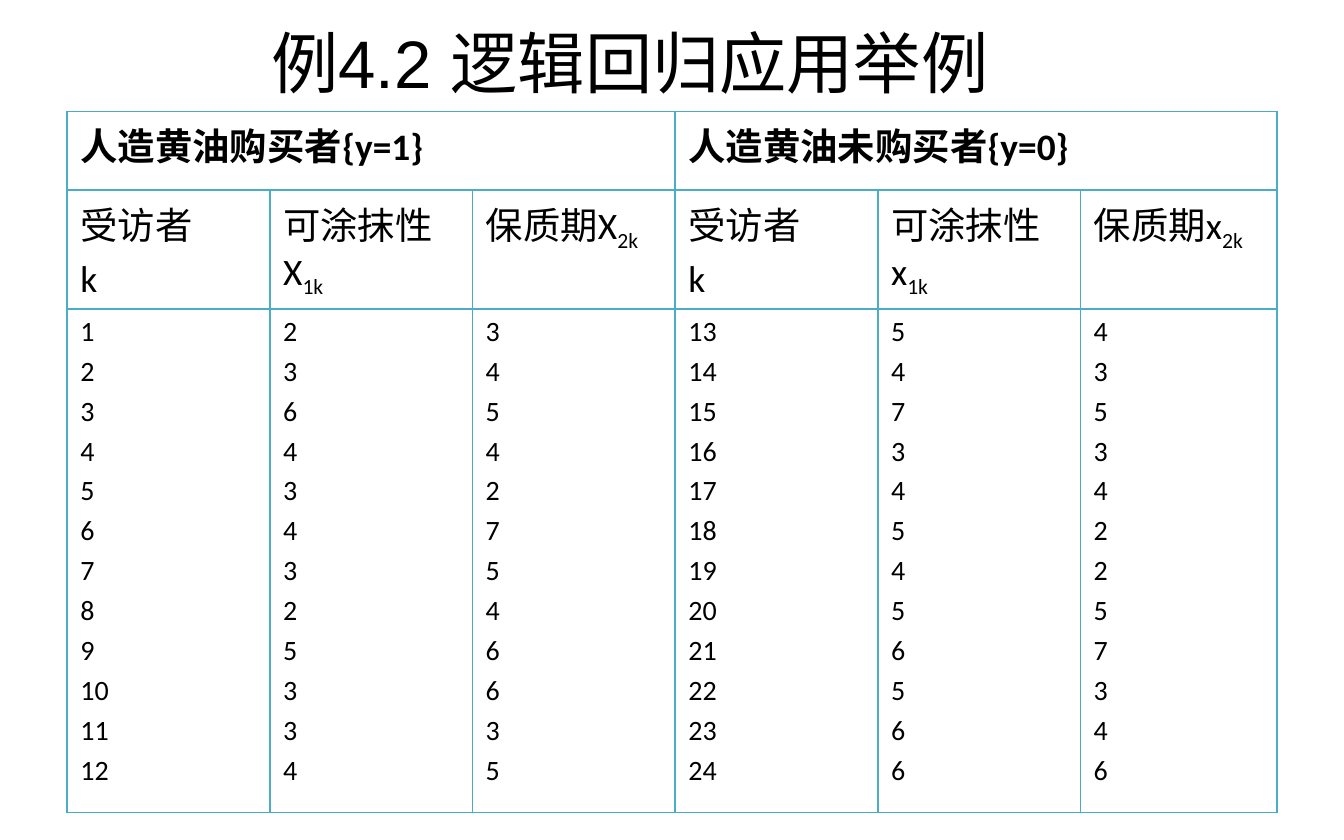
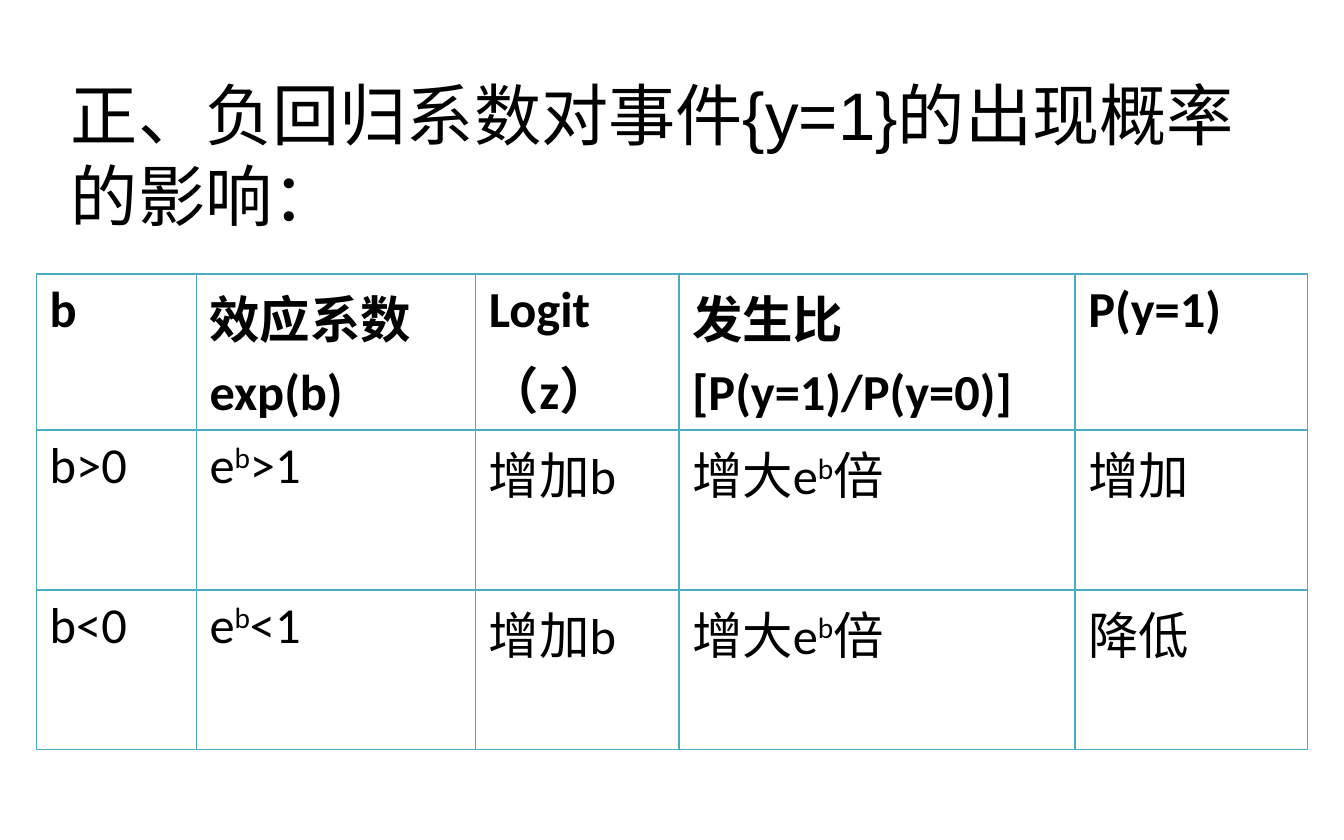
from lxml import etree
from pptx import Presentation
from pptx import util as u
from pptx.dml import color
from pptx.enum import text
from pptx.oxml import ns

# Shared look
INK = "000000"
BORDER = "4BACC6"
TITLE = dict(size=36, font="Arial")

deck = Presentation()
deck.slide_width = u.Cm(25.4)
deck.slide_height = u.Cm(15.88)
blank = deck.slide_layouts[6]


def write(frame, content, size=20, font="Calibri", bold=False, shift=0, gap=0):
    """Fill a text frame: one paragraph a line; every second part between ~ is shifted."""
    frame.word_wrap = True
    for number, line in enumerate(content.split("\n")):
        para = frame.add_paragraph() if number else frame.paragraphs[0]
        para.alignment = text.PP_ALIGN.LEFT
        para.space_before = u.Pt(size * gap)
        for position, part in enumerate(line.split("~")):
            if not part:
                continue
            span = para.add_run()
            span.text = part
            span.font.size = u.Pt(size)
            span.font.name = font
            span.font.bold = bold
            span.font.color.rgb = color.RGBColor.from_string(INK)
            if position % 2:
                span.font._element.set("baseline", str(shift * 1000))


def add_grid(page, left, top, widths, heights):
    """Add an unfilled table with thin borders on all cells."""
    grid = page.shapes.add_table(len(heights), len(widths), u.Cm(left), u.Cm(top),
                                 u.Cm(sum(widths)), u.Cm(sum(heights))).table
    grid.first_row = grid.horz_banding = False
    for column, width in zip(grid.columns, widths):
        column.width = u.Cm(width)
    for row, height in zip(grid.rows, heights):
        row.height = u.Cm(height)
    for cell in grid.iter_cells():
        cell.fill.background()
        cell.margin_left = cell.margin_right = u.Cm(0.25)
        cell.margin_top = cell.margin_bottom = u.Cm(0.11)
        for order, side in enumerate(("lnL", "lnR", "lnT", "lnB")):
            line = etree.Element(ns.qn("a:" + side), w=str(u.Pt(1)))
            paint = etree.SubElement(line, ns.qn("a:solidFill"))
            etree.SubElement(paint, ns.qn("a:srgbClr"), val=BORDER)
            cell._tc.get_or_add_tcPr().insert(order, line)
    return grid


# Slide 1: survey data of buyers and non-buyers
page = deck.slides.add_slide(blank)
survey = add_grid(page, 1.27, 2.11, [3.83] * 5 + [3.71], [1.48, 2.18, 9.52])

groups = [
    ("人造黄油购买者{y=1}", "X", range(1, 13),
     [2, 3, 6, 4, 3, 4, 3, 2, 5, 3, 3, 4],
     [3, 4, 5, 4, 2, 7, 5, 4, 6, 6, 3, 5]),
    ("人造黄油未购买者{y=0}", "x", range(13, 25),
     [5, 4, 7, 3, 4, 5, 4, 5, 6, 5, 6, 6],
     [4, 3, 5, 3, 4, 2, 2, 5, 7, 3, 4, 6]),
]
for group, (heading, symbol, *series) in enumerate(groups):
    first = group * 3
    survey.cell(0, first).merge(survey.cell(0, first + 2))
    write(survey.cell(0, first).text_frame, heading, bold=True, gap=0.2)
    labels = ["受访者\nk", f"可涂抹性{symbol}~1k", f"保质期{symbol}~2k"]
    for column, (label, values) in enumerate(zip(labels, series), first):
        write(survey.cell(1, column).text_frame, label, shift=-25, gap=0.2)
        write(survey.cell(2, column).text_frame, "\n".join(map(str, values)),
              size=15, gap=0.2)

box = page.shapes.add_textbox(u.Cm(4.88), u.Cm(0.28), u.Cm(15.54), u.Cm(1.8))
box.text_frame.auto_size = text.MSO_AUTO_SIZE.SHAPE_TO_FIT_TEXT
write(box.text_frame, "例4.2 逻辑回归应用举例", **TITLE)

# Slide 2: effect of the sign of a coefficient
page = deck.slides.add_slide(blank)
box = page.shapes.add_textbox(u.Cm(1.09), u.Cm(1.27), u.Cm(22.81), u.Cm(3.33))
box.text_frame.auto_size = text.MSO_AUTO_SIZE.SHAPE_TO_FIT_TEXT
write(box.text_frame, "正、负回归系数对事件{y=1}的出现概率的影响：", **TITLE)

effects = add_grid(page, 0.69, 5.18, [3.02, 5.28, 3.84, 7.49, 4.39], [2.95, 3.02, 3.02])
rows = [
    ["b", "效应系数\nexp(b)", "Logit\n（z）", "发生比\n[P(y=1)/P(y=0)]", "P(y=1)"],
    ["b>0", "e~b~>1", "增加b", "增大e~b~倍", "增加"],
    ["b<0", "e~b~<1", "增加b", "增大e~b~倍", "降低"],
]
for row, entries in enumerate(rows):
    for column, entry in enumerate(entries):
        write(effects.cell(row, column).text_frame, entry, size=27,
              bold=row == 0, shift=30, gap=0.2)

deck.save("out.pptx")
